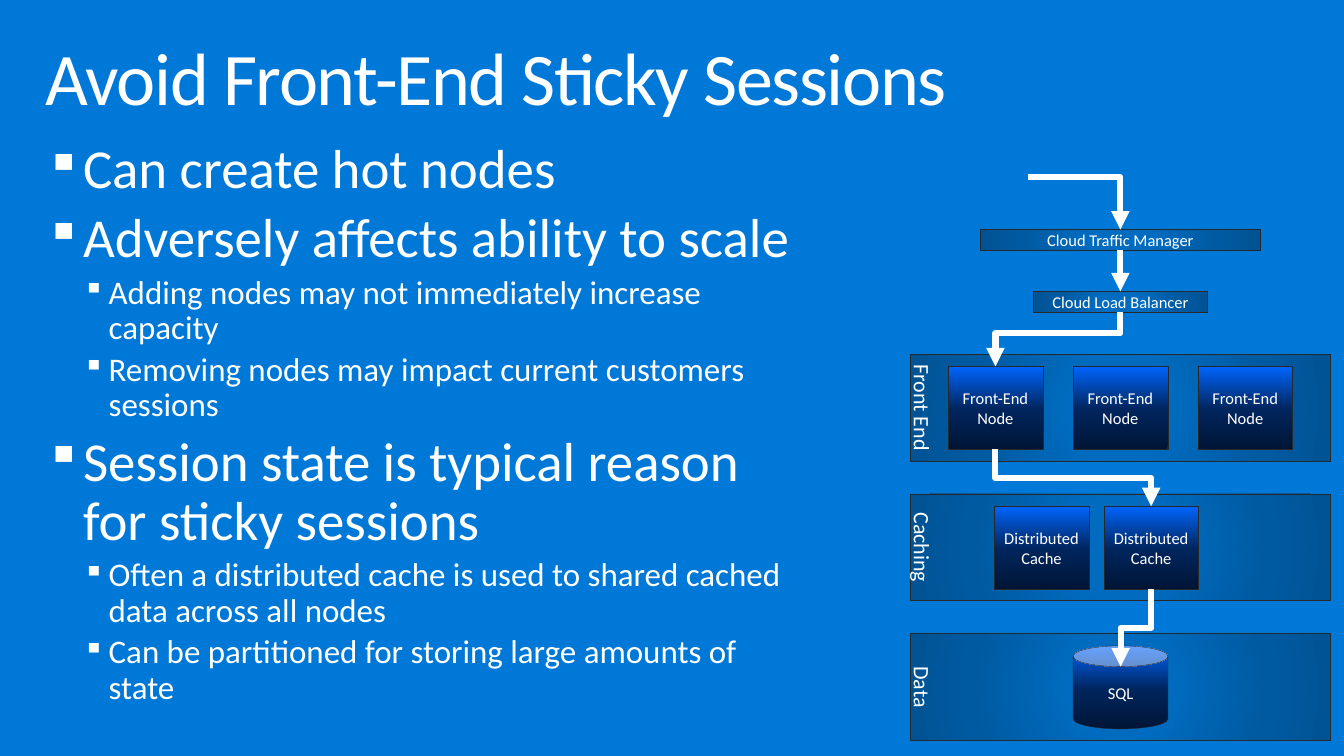
from lxml import etree
from pptx import Presentation
from pptx.dml.color import RGBColor
from pptx.enum.shapes import MSO_CONNECTOR, MSO_SHAPE
from pptx.enum.text import MSO_ANCHOR, MSO_AUTO_SIZE, PP_ALIGN
from pptx.oxml.ns import qn
from pptx.util import Pt

RECTANGLE, CAN = MSO_SHAPE.RECTANGLE, MSO_SHAPE.CAN
ELBOW, STRAIGHT = MSO_CONNECTOR.ELBOW, MSO_CONNECTOR.STRAIGHT
LEFT, CENTER = PP_ALIGN.LEFT, PP_ALIGN.CENTER
TOP, MIDDLE = MSO_ANCHOR.TOP, MSO_ANCHOR.MIDDLE
NO_AUTOFIT = MSO_AUTO_SIZE.NONE

BACKGROUND = RGBColor(0x00, 0x78, 0xD7)
WHITE = RGBColor(0xFF, 0xFF, 0xFF)
OUTLINE = RGBColor(0x28, 0x28, 0x28)
PANEL_STOPS = [
    (0, RGBColor(0x00, 0x6B, 0xBF)),
    (23, RGBColor(0x00, 0x6B, 0xBF)),
    (69, RGBColor(0x00, 0x5A, 0xA1)),
    (97, RGBColor(0x00, 0x54, 0x96)),
]
NODE_STOPS = [
    (0, RGBColor(0x00, 0x15, 0x36)),
    (48, RGBColor(0x00, 0x25, 0x5D)),
    (100, RGBColor(0x00, 0x65, 0xFC)),
]

TITLE = "Avoid Front-End Sticky Sessions"
POINTS = [
    (0, "Can create hot nodes"),
    (0, "Adversely affects ability to scale"),
    (1, "Adding nodes may not immediately increase capacity"),
    (1, "Removing nodes may impact current customers sessions"),
    (0, "Session state is typical reason for sticky sessions"),
    (1, "Often a distributed cache is used to shared cached data across all nodes"),
    (1, "Can be partitioned for storing large amounts of state"),
]
LEVELS = [(40, 27.4, 27.4, 7.2), (24, 46.1, 18.7, 4.3)]

TIER_LEFT, TIER_TOP, TIER_PITCH = 663, 258, 101.8
TIER_WIDTH, TIER_HEIGHT = 306, 77.8
NODE_WIDTH, NODE_HEIGHT, NODE_INSET = 69.1, 60.5, 9
TIERS = [
    ("Front End", "Front-End Node", [690.7, 781.7, 872.7], RECTANGLE),
    ("Caching", "Distributed Cache", [724.3, 804.2], RECTANGLE),
    ("Data", "SQL", [781.9], CAN),
]


def add(parent, tag, **attributes):
    return etree.SubElement(parent, qn(tag), attributes)


def top_of(shape):
    return shape.left + shape.width // 2, shape.top


def bottom_of(shape):
    return shape.left + shape.width // 2, shape.top + shape.height


class Deck:
    font = "Calibri"

    def __init__(self, width, height):
        self.presentation = Presentation()
        self.presentation.slide_width = Pt(width)
        self.presentation.slide_height = Pt(height)
        self.slide = self.presentation.slides.add_slide(
            self.presentation.slide_layouts[5])
        self.slide.background.fill.solid()
        self.slide.background.fill.fore_color.rgb = BACKGROUND

    def frame(self, shape, margin_x, margin_y, anchor):
        frame = shape.text_frame
        frame.word_wrap = True
        frame.auto_size = NO_AUTOFIT
        frame.vertical_anchor = anchor
        frame.margin_left = frame.margin_right = Pt(margin_x)
        frame.margin_top = frame.margin_bottom = Pt(margin_y)
        return frame

    def style(self, paragraph, size, align, line_spacing=None):
        paragraph.alignment = align
        paragraph.line_spacing = line_spacing
        for run in paragraph.runs:
            run.font.name = self.font
            run.font.size = Pt(size)
            run.font.color.rgb = WHITE

    def title(self, text, left, top, width, height):
        title = self.slide.shapes.title
        title.left, title.top = Pt(left), Pt(top)
        title.width, title.height = Pt(width), Pt(height)
        frame = self.frame(title, 11.5, 7.2, TOP)
        frame.text = text
        paragraph = frame.paragraphs[0]
        self.style(paragraph, 54, LEFT, 0.9)
        paragraph.runs[0].font._element.set("spc", "-100")

    def bullets(self, points, left, top, width, height):
        box = self.slide.shapes.add_textbox(
            Pt(left), Pt(top), Pt(width), Pt(height))
        frame = self.frame(box, 11.5, 7.2, TOP)
        frame.text = "\n".join(text for _, text in points)
        for index, (level, _) in enumerate(points):
            size, indent, hanging, space_before = LEVELS[level]
            paragraph = frame.paragraphs[index]
            paragraph.level = level
            properties = paragraph._p.get_or_add_pPr()
            properties.set("marL", str(Pt(indent)))
            properties.set("indent", str(-Pt(hanging)))
            add(add(properties, "a:buClr"), "a:srgbClr", val=str(WHITE))
            add(properties, "a:buSzPct", val="90000")
            add(properties, "a:buChar", char="▪")
            paragraph.space_before = Pt(space_before if index else 0)
            self.style(paragraph, size, LEFT, 0.9)

    def block(self, left, top, width, height, stops, text="", kind=RECTANGLE):
        block = self.slide.shapes.add_shape(
            kind, Pt(left), Pt(top), Pt(width), Pt(height))
        block.shadow.inherit = False
        block.line.color.rgb = OUTLINE
        block.line.width = Pt(0.25)
        block.fill.solid()
        self.gradient(block, stops)
        if text:
            frame = self.frame(block, 0, 3.6, MIDDLE)
            frame.text = text
            self.style(frame.paragraphs[0], 12, CENTER)
        return block

    def gradient(self, block, stops):
        gradient = etree.Element(qn("a:gradFill"), rotWithShape="1")
        stop_list = add(gradient, "a:gsLst")
        for position, color in stops:
            stop = add(stop_list, "a:gs", pos=str(position * 1000))
            add(stop, "a:srgbClr", val=str(color))
        if stops is PANEL_STOPS:
            circle = add(gradient, "a:path", path="circle")
            add(circle, "a:fillToRect", l="50000", t="50000", r="50000", b="50000")
        else:
            add(gradient, "a:lin", ang="16200000", scaled="0")
        properties = block._element.spPr
        properties.replace(properties.find(qn("a:solidFill")), gradient)

    def tier_label(self, text, left, top, width, height):
        label = self.slide.shapes.add_textbox(
            Pt(left), Pt(top), Pt(width), Pt(height))
        frame = self.frame(label, 0, 0, TOP)
        frame._txBody.bodyPr.set("vert", "vert")
        frame.text = text
        self.style(frame.paragraphs[0], 16, CENTER, 0.9)

    def arrow(self, start, end, kind=STRAIGHT):
        arrow = self.slide.shapes.add_connector(kind, *start, *end)
        arrow.line.color.rgb = WHITE
        arrow.line.width = Pt(4.5)
        properties = arrow._element.spPr
        add(properties.find(qn("a:ln")), "a:tailEnd", type="triangle")
        add(properties, "a:effectLst")
        return properties

    def corner_arrow(self, start, end):
        properties = self.arrow(start, end, ELBOW)
        properties.find(qn("a:prstGeom")).set("prst", "bentConnector2")

    def step_arrow(self, start, end, bend=0.5):
        (x1, y1), (x2, y2) = start, end
        turn = 1 if x2 < x1 else -1
        across, down = turn * (y2 - y1) // 2, turn * (x1 - x2) // 2
        x, y = (x1 + x2) // 2, (y1 + y2) // 2
        properties = self.arrow(
            (x - across, y - down), (x + across, y + down), ELBOW)
        properties.find(qn("a:xfrm")).set("rot", str(turn * 90 % 360 * 60000))
        guides = properties.find(qn("a:prstGeom")).find(qn("a:avLst"))
        add(guides, "a:gd", name="adj1", fmla=f"val {round(bend * 100000)}")


def main():
    deck = Deck(979.2, 550.8)
    deck.title(TITLE, 21.6, 23, 936, 72)
    deck.bullets(POINTS, 21.6, 95.8, 576, 443.5)

    traffic_manager = deck.block(
        714.3, 167.3, 204, 15.2, PANEL_STOPS, "Cloud Traffic Manager")
    load_balancer = deck.block(
        752.9, 212.3, 126.8, 15.2, PANEL_STOPS, "Cloud Load Balancer")

    nodes = []
    for index, (tier, node, lefts, kind) in enumerate(TIERS):
        top = TIER_TOP + index * TIER_PITCH
        deck.block(TIER_LEFT, top, TIER_WIDTH, TIER_HEIGHT, PANEL_STOPS)
        deck.tier_label(tier, TIER_LEFT, top + 0.5, 16.6, 77)
        nodes.append([
            deck.block(left, top + NODE_INSET, NODE_WIDTH, NODE_HEIGHT,
                       NODE_STOPS, node, kind)
            for left in lefts])
    front_end, cache, database = nodes[0][0], nodes[1][1], nodes[2][0]
    database_x, database_y = top_of(database)

    deck.corner_arrow((Pt(748.8), Pt(128.9)), top_of(traffic_manager))
    deck.arrow(bottom_of(traffic_manager), top_of(load_balancer))
    deck.step_arrow(bottom_of(load_balancer), top_of(front_end), 0.39)
    deck.step_arrow(bottom_of(front_end), top_of(cache))
    deck.step_arrow(bottom_of(cache), (database_x, database_y + Pt(15.1)))

    deck.presentation.save("out.pptx")


if __name__ == "__main__":
    main()
